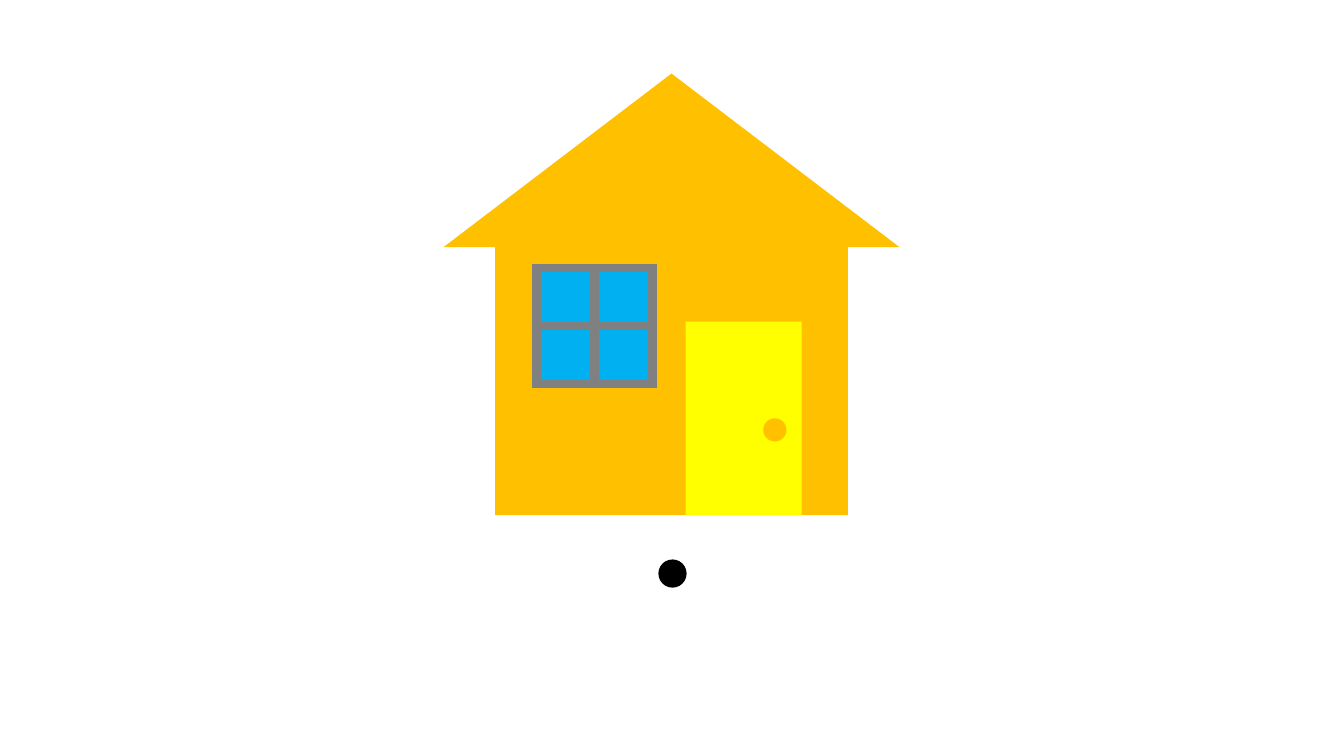
from lxml.etree import SubElement
from pptx import Presentation
from pptx.dml.color import RGBColor
from pptx.enum.shapes import MSO_CONNECTOR as LINK, MSO_SHAPE as SHAPE
from pptx.oxml.ns import qn
from pptx.util import Inches, Pt

COLORS = {
    "dot": "000000",
    "wall": "FFC000",
    "door": "FFFF00",
    "glass": "00B0F0",
    "frame": "808080",
}
FRAME_WIDTH = 6


class Painter:
    """Holds the colours and the slide being drawn on."""

    def __init__(self, page, colors):
        self.page = page
        self.colors = colors

    def color(self, name):
        return RGBColor.from_string(self.colors[name])

    def shape(self, kind, left, top, width, height, fill, line=None):
        shape = self.page.shapes.add_shape(
            kind, Inches(left), Inches(top), Inches(width), Inches(height))
        shape.shadow.inherit = False
        shape.fill.solid()
        shape.fill.fore_color.rgb = self.color(fill)
        if line:
            self.stroke(shape, line)
        else:
            shape.line.fill.background()
        return shape

    def line(self, x1, y1, x2, y2, color):
        link = self.page.shapes.add_connector(
            LINK.STRAIGHT, Inches(x1), Inches(y1), Inches(x2), Inches(y2))
        self.stroke(link, color)
        SubElement(link._element.spPr, qn("a:effectLst"))
        return link

    def stroke(self, item, color):
        item.line.color.rgb = self.color(color)
        item.line.width = Pt(FRAME_WIDTH)
        # Square corners
        outline = item._element.spPr.find(qn("a:ln"))
        SubElement(outline, qn("a:miter"), lim="800000")


deck = Presentation()
deck.slide_width, deck.slide_height = Inches(13.33), Inches(7.5)
page = deck.slides.add_slide(deck.slide_layouts[6])
painter = Painter(page, COLORS)

# Dot below the house
painter.shape(SHAPE.OVAL, 6.53, 5.55, 0.28, 0.28, "dot")

# House: roof and walls in one arrow
house = painter.shape(SHAPE.UP_ARROW, 4.4, 0.73, 4.52, 4.38, "wall")
house.adjustments[0] = 0.774
house.adjustments[1] = 0.393

# Door and knob
painter.shape(SHAPE.RECTANGLE, 6.8, 3.19, 1.15, 1.92, "door")
painter.shape(SHAPE.OVAL, 7.57, 4.15, 0.23, 0.23, "wall")

# Window with its crossbars
left, top, size = 5.32, 2.66, 1.15
middle_x, middle_y = left + size / 2, top + size / 2
painter.shape(SHAPE.RECTANGLE, left, top, size, size, "glass", line="frame")
painter.line(left, middle_y, left + size, middle_y, "frame")
painter.line(middle_x, top + size, middle_x, top, "frame")

deck.save("out.pptx")
